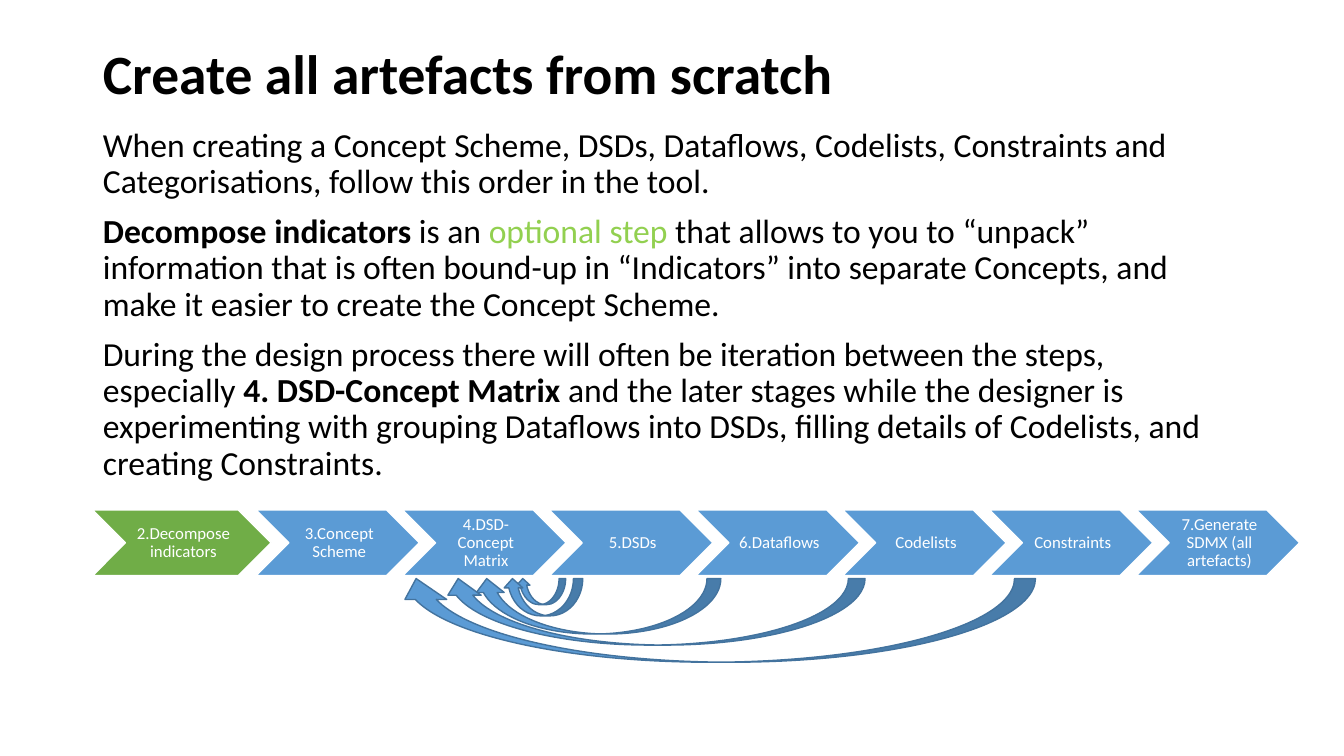
"""Build the slide on creating all artefacts from scratch, in order."""
from lxml.etree import SubElement
from pptx import Presentation
from pptx.dml.color import RGBColor
from pptx.enum.shapes import MSO_SHAPE as Preset
from pptx.enum.text import MSO_ANCHOR as Anchor, MSO_AUTO_SIZE as AutoSize, PP_ALIGN as Align
from pptx.oxml.ns import qn
from pptx.util import Inches, Pt

COLOURS = {"text": "000000", "optional": "92D050", "green": "70AD47",
           "blue": "5B9BD5", "arrow_line": "43739E", "white": "FFFFFF"}
FONT = "Calibri"
TITLE = "Create all artefacts from scratch"
BODY = [
    [("When creating a Concept Scheme, DSDs, Dataflows, Codelists, Constraints and "
      "Categorisations, follow this order in the tool.", "text", False)],
    [("Decompose indicators", "text", True),
     (" is an ", "text", False),
     ("optional step ", "optional", False),
     ("that allows to you to “unpack” information that is often bound-up in “Indicators” "
      "into separate Concepts, and make it easier to create the Concept Scheme.", "text", False)],
    [("During the design process there will often be iteration between the steps, "
      "especially ", "text", False),
     ("4. DSD-Concept Matrix", "text", True),
     (" and the later stages while the designer is experimenting with grouping Dataflows "
      "into DSDs, filling details of Codelists, and creating Constraints.", "text", False)],
]
OPTIONAL_STEP = "2.Decompose indicators"
STEPS = ["3.Concept Scheme", "4.DSD-Concept Matrix", "5.DSDs", "6.Dataflows",
         "Codelists", "Constraints", "7.Generate SDMX (all artefacts)"]
STEP_TOP, STEP_HEIGHT = 5.06, 0.65
FIRST_STEP, LAST_STEP, STEP_WIDTH = 2.54, 11.27, 1.62
ARROW_TOP = 5.74
RETURN_ARROWS = [(5.12, 0.49, 0.26), (4.99, 0.79, 0.37), (4.69, 2.46, 0.55),
                 (4.38, 4.2, 0.66), (3.92, 6.35, 0.83)]


def colour(name):
    return RGBColor.from_string(COLOURS[name])


def place(box, left, top, width, height):
    box.left, box.top = Inches(left), Inches(top)
    box.width, box.height = Inches(width), Inches(height)


def write(para, spans, size, align=Align.LEFT, before=0):
    para.alignment, para.line_spacing, para.space_before = align, 0.9, Pt(before)
    for words, shade, bold in spans:
        span = para.add_run()
        span.text = words
        span.font.name, span.font.size, span.font.bold = FONT, Pt(size), bold
        span.font.color.rgb = colour(shade)


def add_preset(page, preset, bounds, fill, line):
    shape = page.shapes.add_shape(preset, *map(Inches, bounds))
    shape.shadow.inherit = False
    shape.fill.solid()
    shape.fill.fore_color.rgb = colour(fill)
    shape.line.color.rgb = colour(line)
    shape.line.width = Pt(1)
    return shape


def add_step(page, label, left, width, fill):
    chevron = add_preset(page, Preset.CHEVRON, (left, STEP_TOP, width, STEP_HEIGHT), fill, "white")
    frame = chevron.text_frame
    frame.word_wrap, frame.vertical_anchor = True, Anchor.MIDDLE
    frame.margin_left = Inches(0.05)
    frame.margin_top = frame.margin_right = frame.margin_bottom = Inches(0.02)
    write(frame.paragraphs[0], [(label, "white", False)], 12, Align.CENTER)


deck = Presentation()
deck.slide_width, deck.slide_height = Inches(13.33), Inches(7.5)
page = deck.slides.add_slide(deck.slide_layouts[1])

title, body = page.placeholders
place(title, 0.92, 0.4, 11.5, 0.71)
place(body, 0.92, 1.22, 11.5, 5.54)
for box in (title, body):
    box.text_frame.auto_size = AutoSize.NONE
    box.text_frame.word_wrap = True
title.text_frame.vertical_anchor = Anchor.MIDDLE
write(title.text_frame.paragraphs[0], [(TITLE, "text", True)], 39.6)

for index, spans in enumerate(BODY):
    para = body.text_frame.add_paragraph() if index else body.text_frame.paragraphs[0]
    write(para, spans, 24, before=10)
    settings = para._p.get_or_add_pPr()
    settings.set("marL", "0")
    settings.set("indent", "0")
    SubElement(settings, qn("a:buNone"))

add_step(page, OPTIONAL_STEP, 0.92, 1.77, "green")
pitch = (LAST_STEP - FIRST_STEP) / (len(STEPS) - 1)
for index, label in enumerate(STEPS):
    add_step(page, label, FIRST_STEP + index * pitch, STEP_WIDTH, "blue")

for left, width, height in RETURN_ARROWS:
    arrow = add_preset(page, Preset.CURVED_UP_ARROW, (left, ARROW_TOP, width, height),
                       "blue", "arrow_line")
    arrow._element.spPr.xfrm.set("flipH", "1")

deck.save("out.pptx")
